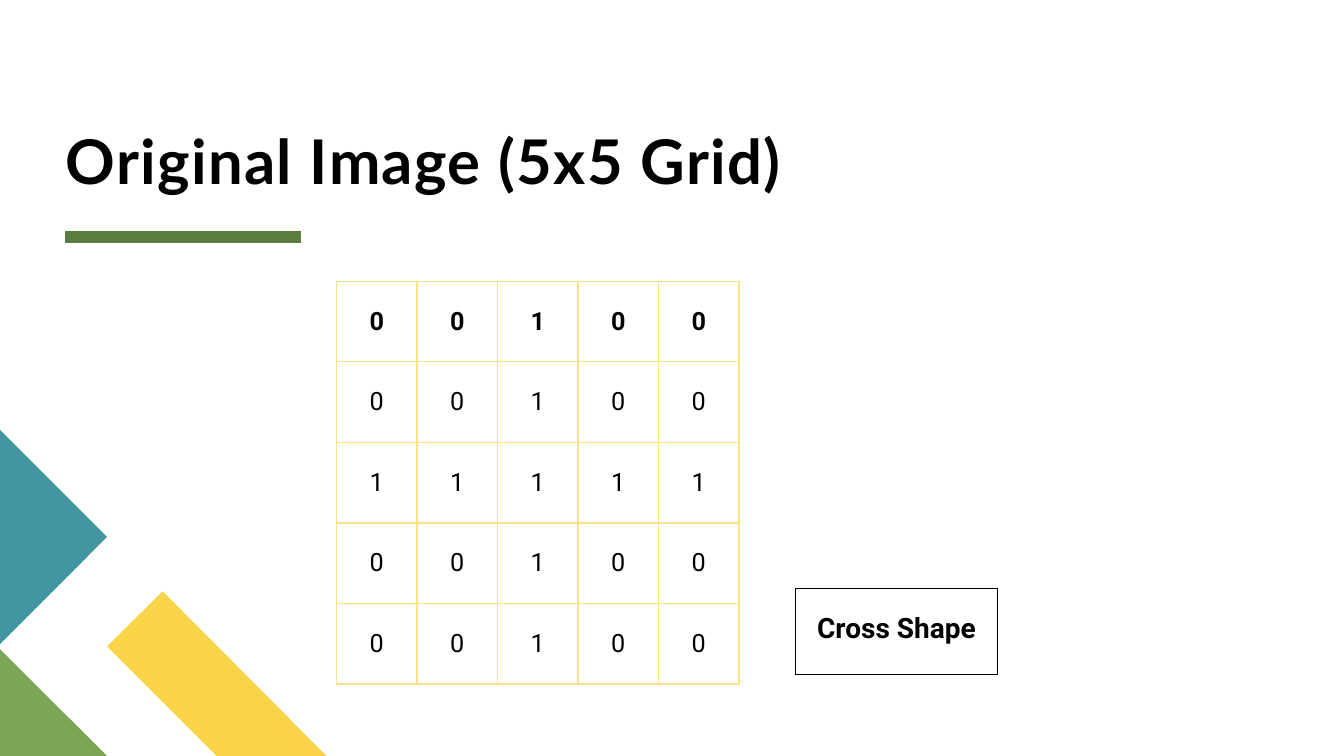
import pptx
import pptx.util
import pptx.dml.color
import pptx.enum.shapes
import pptx.enum.text
import pptx.oxml.ns
import lxml.etree

Cm = pptx.util.Cm
Pt = pptx.util.Pt
qn = pptx.oxml.ns.qn
ALIGN = pptx.enum.text.PP_ALIGN
ANCHOR = pptx.enum.text.MSO_ANCHOR
COLORS = {
    "black": "000000",
    "underline": "5D7D40",
    "teal": "4495A2",
    "yellow": "F9D448",
    "green": "7CA655",
    "border": "FBE284",
}


def color(name):
    return pptx.dml.color.RGBColor.from_string(COLORS[name])


def style_text(paragraph, font_name, size, bold):
    paragraph.font.name = font_name
    paragraph.font.size = Pt(size)
    paragraph.font.bold = bold
    paragraph.font.color.rgb = color("black")


presentation = pptx.Presentation()
presentation.slide_width = Cm(33.87)
presentation.slide_height = Cm(19.05)
slide = presentation.slides.add_slide(presentation.slide_layouts[6])
shapes = slide.shapes

underline = shapes.add_connector(
    pptx.enum.shapes.MSO_CONNECTOR.STRAIGHT, Cm(1.65), Cm(5.97), Cm(7.58), Cm(5.97)
)
underline.line.color.rgb = color("underline")
underline.line.width = Pt(8)
lxml.etree.SubElement(underline._element.spPr, qn("a:effectLst"))

corner_pieces = [
    ("yellow", [(8.23, 19.05), (5.46, 19.05), (2.7, 16.29), (4.1, 14.9)]),
    ("green", [(2.7, 19.05), (0, 19.05), (0, 16.36)]),
    ("teal", [(0, 10.83), (2.7, 13.53), (0, 16.23)]),
]
for name, points in corner_pieces:
    corners = [(Cm(x), Cm(y)) for x, y in points]
    builder = shapes.build_freeform(*corners[0])
    builder.add_line_segments(corners[1:], close=True)
    piece = builder.convert_to_shape()
    piece.shadow.inherit = False
    piece.fill.solid()
    piece.fill.fore_color.rgb = color(name)
    piece.line.fill.background()

title = shapes.add_textbox(Cm(1.65), Cm(0.28), Cm(30.2), Cm(4.67))
caption = shapes.add_textbox(Cm(20.04), Cm(14.83), Cm(5.11), Cm(2.16))
for box in (title, caption):
    frame = box.text_frame
    frame.word_wrap = True
    frame.margin_left = frame.margin_right = frame.margin_top = frame.margin_bottom = 0

title.text_frame.vertical_anchor = ANCHOR.BOTTOM
paragraph = title.text_frame.paragraphs[0]
run = paragraph.add_run()
run.text = "Original Image (5x5 Grid)"
run._r.get_or_add_rPr().set("spc", "100")
paragraph.line_spacing = 0.8
style_text(paragraph, "Lato", 44, True)

caption.line.color.rgb = color("black")
caption.line.width = Pt(0.75)
caption.text_frame.margin_top = Cm(0.64)
paragraph = caption.text_frame.paragraphs[0]
paragraph.text = "Cross Shape"
paragraph.alignment = ALIGN.CENTER
paragraph.line_spacing = 0.9
style_text(paragraph, "Roboto", 20, True)

pixel_rows = ["00100", "00100", "11111", "00100", "00100"]
cell_size = Cm(2.03)
grid_size = cell_size * len(pixel_rows)
table = shapes.add_table(5, 5, Cm(8.48), Cm(7.09), grid_size, grid_size).table
table.horz_banding = False
for row_index, pixels in enumerate(pixel_rows):
    table.rows[row_index].height = cell_size
    table.columns[row_index].width = cell_size
    for column_index, pixel in enumerate(pixels):
        cell = table.cell(row_index, column_index)
        cell.vertical_anchor = ANCHOR.MIDDLE
        properties = cell._tc.get_or_add_tcPr()
        for side in ("a:lnL", "a:lnR", "a:lnT", "a:lnB"):
            border = lxml.etree.SubElement(properties, qn(side), w=str(Pt(1)))
            fill = lxml.etree.SubElement(border, qn("a:solidFill"))
            lxml.etree.SubElement(fill, qn("a:srgbClr"), val=COLORS["border"])
        cell.fill.background()
        paragraph = cell.text_frame.paragraphs[0]
        paragraph.text = pixel
        paragraph.alignment = ALIGN.CENTER
        style_text(paragraph, "Roboto", 18, row_index == 0)

presentation.save("out.pptx")
